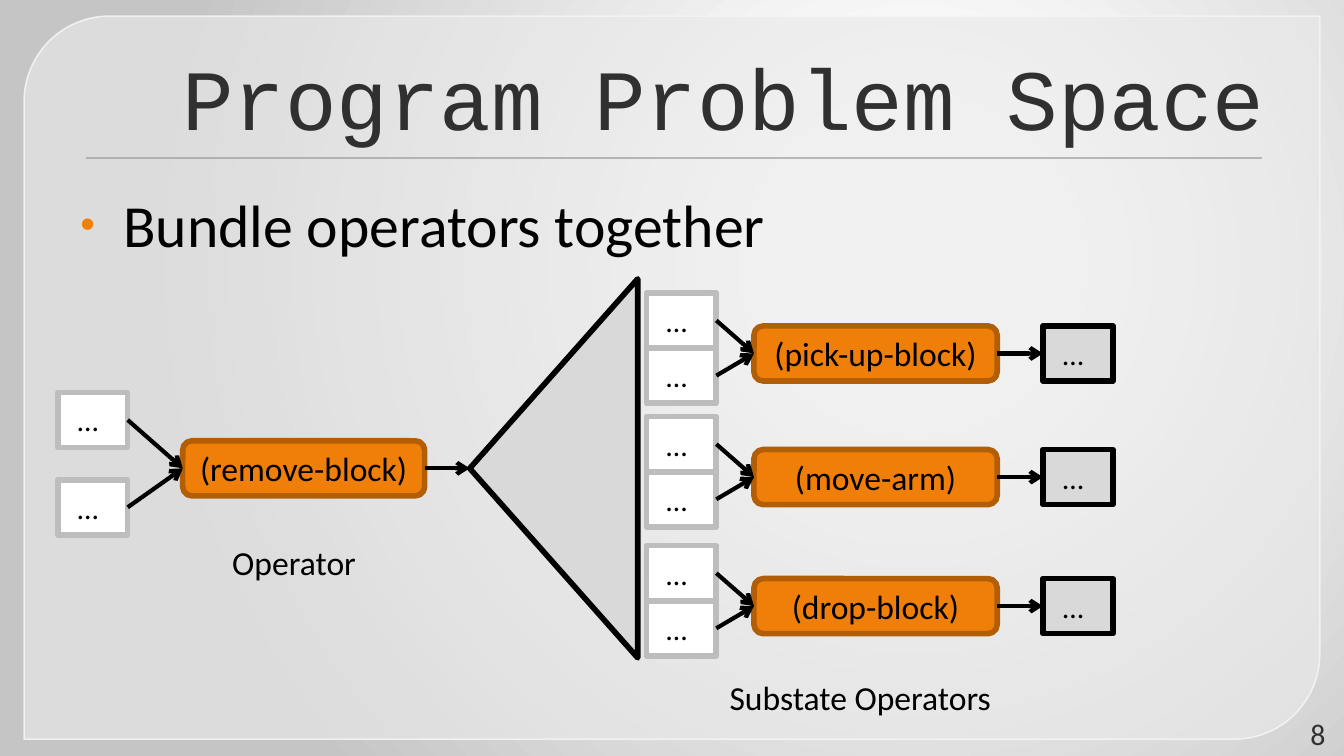
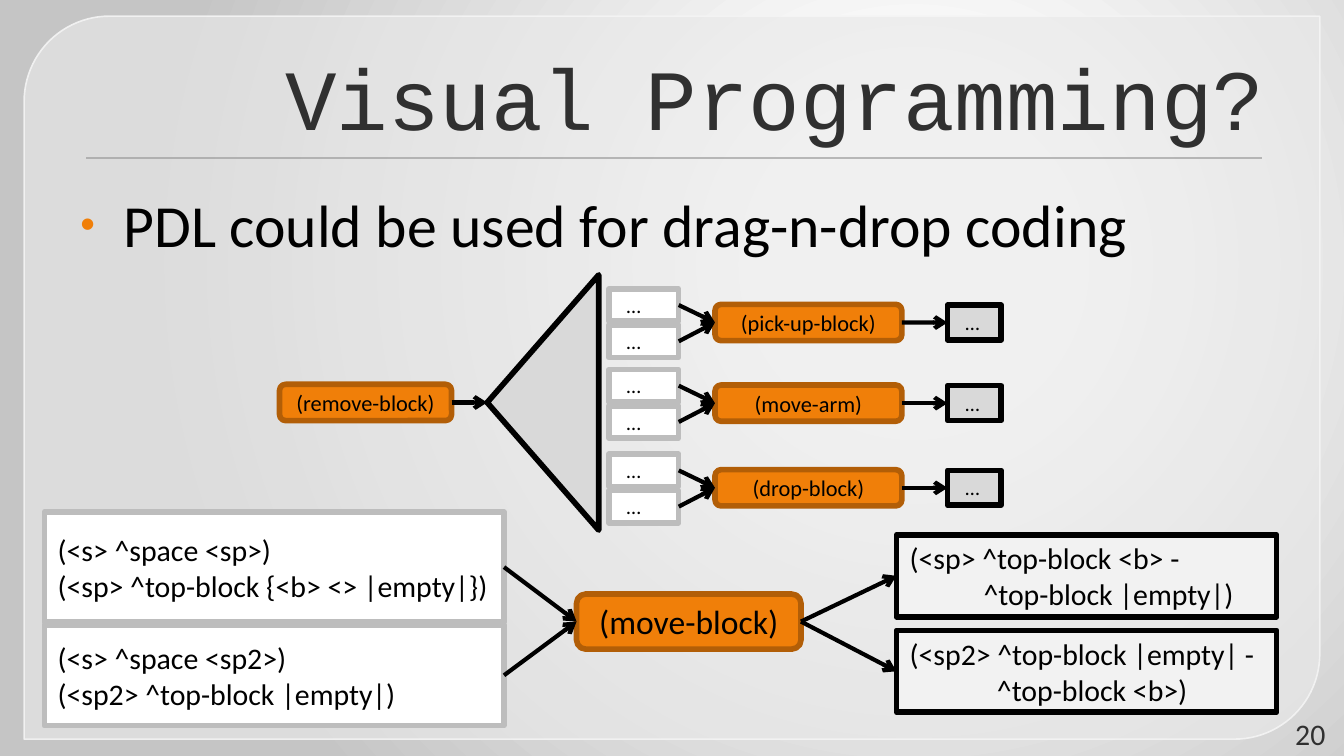
"""Build two slides on bundled operators and visual programming."""
from lxml.etree import SubElement
from pptx import Presentation
from pptx.dml.color import RGBColor
from pptx.enum.shapes import MSO_CONNECTOR, MSO_SHAPE
from pptx.enum.text import MSO_ANCHOR, PP_ALIGN
from pptx.oxml import parse_xml
from pptx.oxml.ns import nsdecls, qn
from pptx.util import Inches, Pt

C = {"ink": "000000", "title": "303030", "orange": "F07F09", "rust": "B25E07",
     "white": "FFFFFF", "silver": "BDBDBD", "grey": "D9D9D9", "pale": "F2F2F2",
     "panel": "E9E9E9", "edge": "F5F5F5", "rule": "999999", "shade": "C5C5C5"}
STYLES = {"operator": (MSO_SHAPE.ROUNDED_RECTANGLE, "orange", "rust"),
          "input": (MSO_SHAPE.RECTANGLE, "white", "silver"),
          "output": (MSO_SHAPE.RECTANGLE, "grey", "ink"),
          "result": (MSO_SHAPE.RECTANGLE, "pale", "ink"),
          "fan": (MSO_SHAPE.ISOSCELES_TRIANGLE, "grey", "ink"),
          "panel": (MSO_SHAPE.ROUND_2_DIAG_RECTANGLE, "panel", "edge"),
          "rule": (MSO_SHAPE.RECTANGLE, "rule", None),
          "text": (None, None, None)}


def add_box(shapes, style, at, lines=(), size=16, align=PP_ALIGN.LEFT,
            left=0.1, hang=0, color="ink"):
    """Add a styled shape or text box, indenting every line after the first by hang."""
    kind, fill, line = STYLES[style]
    at = [Inches(v) for v in at]
    sp = shapes.add_shape(kind, *at) if kind else shapes.add_textbox(*at)
    if kind:
        sp.shadow.inherit = False
        sp.fill.solid()
        sp.fill.fore_color.rgb = RGBColor.from_string(C[fill])
        if line:
            sp.line.color.rgb = RGBColor.from_string(C[line])
            sp.line.width = Pt(3)
        else:
            sp.line.fill.background()
    tf = sp.text_frame
    tf.word_wrap = True
    tf.vertical_anchor = MSO_ANCHOR.MIDDLE
    tf.margin_left = Inches(left)
    if style == "input":
        tf.margin_right = 0
    for i, text in enumerate(lines):
        p = tf.paragraphs[0] if i == 0 else tf.add_paragraph()
        p.alignment = align
        if i and hang:
            p._p.get_or_add_pPr().set("marL", str(Inches(hang)))
        r = p.add_run()
        r.text = text
        r.font.size = Pt(size)
        r.font.name = "Calibri"
        r.font.color.rgb = RGBColor.from_string(C[color])
    return sp


def add_arrow(shapes, a, b):
    """Draw an arrow from the right side of a to the left side or apex of b."""
    x = b.left + (b.width - b.height) // 2 if b.rotation else b.left
    cn = shapes.add_connector(MSO_CONNECTOR.STRAIGHT, a.left + a.width,
                              a.top + a.height // 2, x, b.top + b.height // 2)
    cn.begin_connect(a, 3)
    if not b.rotation:
        cn.end_connect(b, 1)
    cn.line.color.rgb = RGBColor.from_string(C["ink"])
    cn.line.width = Pt(2.25)
    spPr = cn.element.spPr
    SubElement(spPr.find(qn("a:ln")), qn("a:tailEnd"), type="arrow")
    SubElement(spPr, qn("a:effectLst"))


prs = Presentation()
prs.slide_width = Inches(10)
prs.slide_height = prs.slide_width * 9 // 16
layout = prs.slide_layouts[5]
stops = "".join(f'<a:gs pos="{pos}"><a:srgbClr val="{C[name]}"/></a:gs>'
                for pos, name in ((0, "white"), (20000, "white"), (100000, "shade")))
layout.element.cSld.insert(0, parse_xml(
    f'<p:bg {nsdecls("p", "a")}><p:bgPr><a:gradFill rotWithShape="1"><a:gsLst>{stops}</a:gsLst>'
    '<a:path path="circle"><a:fillToRect l="68000" t="35000" r="32000" b="65000"/></a:path>'
    '</a:gradFill><a:effectLst/></p:bgPr></p:bg>'))

slides = [
    {"title": "Program Problem Space", "bullet": "Bundle operators together", "number": "8",
     "body_h": 0.8, "size": 18, "dots": 16, "dots_left": 0.1,
     "main": (1.36, 3.28, 1.8, 0.41), "fan": (2.71, 2.86, 2.82, 1.25),
     "centres": (2.63, 3.55, 4.51), "in": (4.81, 0.52, 0.41), "in_tops": (-0.45, -0.04),
     "op": (5.61, 1.81, 0.41), "out": (7.76, 0.52, 0.41)},
    {"title": "Visual Programming?", "bullet": "PDL could be used for drag-n-drop coding",
     "number": "20", "body_h": 3.71, "size": 12, "dots": 11, "dots_left": 0.1,
     "main": (2.08, 2.86, 1.28, 0.27), "fan": (3.09, 2.58, 1.9, 0.83),
     "centres": (2.4, 3, 3.63), "in": (4.53, 0.52, 0.24), "in_tops": (-0.25, 0.02),
     "op": (5.32, 1.39, 0.27), "out": (7.05, 0.4, 0.26)},
]

for n, d in enumerate(slides):
    s = prs.slides.add_slide(layout)
    if n == 0:
        panel = add_box(s.shapes, "panel", (0.18, 0.12, 9.64, 5.38))
        panel.adjustments[0], panel.adjustments[1] = 0.118, 0
        panel.line.width = Pt(0.87)
        for clr, alpha in zip(panel.element.spPr.iter(qn("a:srgbClr")), ("65000", "88000")):
            SubElement(clr, qn("a:alpha"), val=alpha)
        rule = add_box(s.shapes, "rule", (0.64, 1.17, 8.75, 0.01))
        for i, sp in enumerate((panel, rule)):
            sp.element.nvSpPr.cNvPr.set("id", str(20 + i))
            layout.shapes.element.append(sp.element)

    title = s.shapes.title
    title.left, title.top, title.width, title.height = map(Inches, (0.5, 0.21, 9, 0.94))
    tf = title.text_frame
    tf.word_wrap = True
    tf.vertical_anchor = MSO_ANCHOR.BOTTOM
    p = tf.paragraphs[0]
    p.alignment = PP_ALIGN.RIGHT
    p._p.get_or_add_pPr().set("marL", str(Inches(0.06)))
    r = p.add_run()
    r.text = d["title"]
    r.font.size = Pt(46)
    r.font.name = "Courier New"
    r.font.color.rgb = RGBColor.from_string(C["title"])

    body = add_box(s.shapes, "text", (0.5, 1.35, 9, d["body_h"]), [d["bullet"]], 32)
    body.text_frame.vertical_anchor = MSO_ANCHOR.TOP
    pPr = body.text_frame.paragraphs[0]._p.get_or_add_pPr()
    pPr.set("marL", str(Inches(0.32)))
    pPr.set("indent", str(-Inches(0.32)))
    SubElement(SubElement(pPr, qn("a:buClr")), qn("a:srgbClr"), val=C["orange"])
    SubElement(pPr, qn("a:buSzPct"), val="70000")
    SubElement(pPr, qn("a:buFont"), typeface="Arial")
    SubElement(pPr, qn("a:buChar"), char="•")
    add_box(s.shapes, "text", (9.45, 5.34, 0.51, 0.23), [d["number"]], 16,
            PP_ALIGN.RIGHT, color="title")

    shapes = s.shapes.add_group_shape().shapes if n else s.shapes
    main = add_box(shapes, "operator", d["main"], ["(remove-block)"], d["size"], PP_ALIGN.CENTER)
    fan = add_box(shapes, "fan", d["fan"])
    fan.rotation = 270
    add_arrow(shapes, main, fan)
    for cy, name in zip(d["centres"], ("(pick-up-block)", "(move-arm)", "(drop-block)")):
        x, w, h = d["op"]
        op = add_box(shapes, "operator", (x, cy - h / 2, w, h), [name], d["size"],
                     PP_ALIGN.CENTER)
        x, w, h = d["in"]
        for dy in d["in_tops"]:
            cond = add_box(shapes, "input", (x, cy + dy, w, h), [" …"], d["dots"],
                           left=d["dots_left"])
            add_arrow(shapes, cond, op)
        x, w, h = d["out"]
        out = add_box(shapes, "output", (x, cy - h / 2, w, h), [" …"], d["dots"],
                      left=d["dots_left"])
        add_arrow(shapes, op, out)

    if n == 0:
        for y in (2.92, 3.57):
            cond = add_box(shapes, "input", (0.43, y, 0.52, 0.41), [" …"])
            add_arrow(shapes, cond, main)
        for at, label in (((5.33, 4.99, 2.17, 0.4), "Substate Operators"),
                          ((1.63, 3.98, 1.13, 0.4), "Operator")):
            sp = add_box(shapes, "text", at, [label], 18)
            sp.text_frame.word_wrap = False
    else:
        shapes = s.shapes.add_group_shape().shapes
        move = add_box(shapes, "operator", (4.29, 4.42, 1.67, 0.41), ["(move-block)"], 18,
                       PP_ALIGN.CENTER)
        for y, h, lines in (
                (3.81, 0.82, ["(<s> ^space <sp>)", "(<sp> ^top-block {<b> <> |empty|})"]),
                (4.65, 0.75, ["(<s> ^space <sp2>)", "(<sp2> ^top-block |empty|)"])):
            add_arrow(shapes, add_box(shapes, "input", (0.33, y, 3.42, h), lines), move)
        for y, hang, lines in (
                (3.98, 0.55, ["(<sp> ^top-block <b> -", "^top-block |empty|)"]),
                (4.69, 0.65, ["(<sp2> ^top-block |empty| -", "^top-block <b>)"])):
            result = add_box(shapes, "result", (6.67, y, 2.83, 0.61), lines, hang=hang)
            add_arrow(shapes, move, result)

prs.save("out.pptx")
